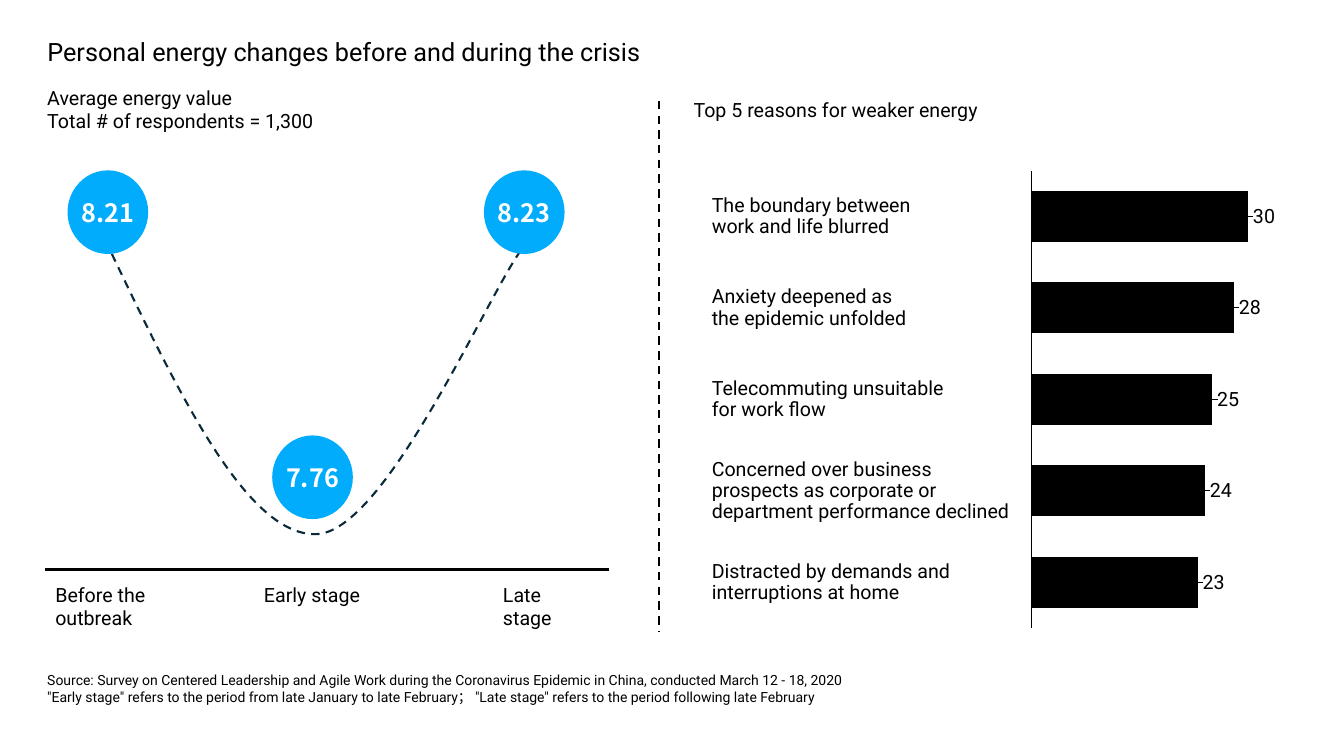
from collections import namedtuple
from lxml.etree import SubElement
from pptx import Presentation
from pptx.chart.data import CategoryChartData as ChartData
from pptx.dml.color import RGBColor as RGB
from pptx.enum.chart import XL_CHART_TYPE as Kind, XL_TICK_LABEL_POSITION as Tick
from pptx.enum.chart import XL_TICK_MARK as Mark
from pptx.enum.dml import MSO_LINE as Dash
from pptx.enum.shapes import MSO_CONNECTOR as Conn, MSO_SHAPE as Shape
from pptx.enum.text import MSO_ANCHOR as Anchor, MSO_AUTO_SIZE as Auto, PP_ALIGN as Align
from pptx.oxml import parse_xml
from pptx.oxml.ns import nsdecls, qn
from pptx.util import Inches, Pt

Box = namedtuple("Box", "x y w h")
Theme = namedtuple("Theme", "ink blue curve white font bold big body small")
T = Theme(RGB(0, 0, 0), RGB(0x00, 0xAC, 0xFB), RGB(0x09, 0x2A, 0x39), RGB(255, 255, 255),
          "Roboto", "Noto Sans CJK SC", Pt(18), Pt(14), Pt(10))

STAGES = [  # value, circle left and top, label left and width, label
    ("8.21", 0.3, 0.69, 0.08, 1.15, "Before the\noutbreak"),
    ("7.76", 2.33, 3.32, 2.15, 1.2, "Early stage"),
    ("8.23", 4.43, 0.69, 4.52, 0.72, "Late\nstage"),
]
REASONS = [
    ("The boundary between\vwork and life blurred", 30),
    ("Anxiety deepened as\vthe epidemic unfolded", 28),
    ("Telecommuting unsuitable\vfor work flow", 25),
    ("Concerned over business\vprospects as corporate or\vdepartment performance declined", 24),
    ("Distracted by demands and\vinterruptions at home", 23),
]


def style(font, size, color=T.ink, name=T.font, bold=False):
    font.size, font.name, font.bold = size, name, bold
    font.color.rgb = color


def fill_text(shape, text, size, **look):
    frame = shape.text_frame
    frame.word_wrap = False
    frame.text = text
    for para in frame.paragraphs:
        for run in para.runs:
            style(run.font, size, **look)
    return frame


def place(shape, box):
    shape.left, shape.top, shape.width, shape.height = map(Inches, box)


def add_text(slide, box, text, size=T.body):
    label = slide.shapes.add_textbox(*map(Inches, box))
    frame = fill_text(label, text, size)
    frame.auto_size = Auto.SHAPE_TO_FIT_TEXT
    return frame


def clear_pad(frame):
    frame.margin_left = frame.margin_right = 0
    frame.margin_top = frame.margin_bottom = 0
    frame.vertical_anchor = Anchor.MIDDLE
    frame.auto_size = Auto.NONE


def add_rule(slide, x, y, x2, y2, dash=None):
    rule = slide.shapes.add_connector(Conn.STRAIGHT, *map(Inches, (x, y, x2, y2)))
    rule.line.color.rgb, rule.line.width = T.ink, Pt(1.5)
    rule.line.dash_style = dash
    SubElement(rule._element.spPr, qn("a:effectLst"))


def add_title(slide, box, text):
    title = slide.shapes.title
    place(title, box)
    frame = fill_text(title, text, T.big)
    frame.auto_size = Auto.SHAPE_TO_FIT_TEXT
    frame.vertical_anchor = Anchor.TOP
    frame.paragraphs[0].alignment = Align.LEFT


def add_curve(slide, box):
    nodes = [(0.74, 1.72), (1.41, 3.12), (2.08, 4.51), (2.76, 4.5),
             (3.44, 4.5), (4.45, 2.16), (4.8, 1.68)]
    start, *rest = [(Inches(box.x + x), Inches(box.y + y)) for x, y in nodes]
    pen = slide.shapes.build_freeform(*start)
    pen.add_line_segments(rest, close=False)
    curve = pen.convert_to_shape()
    curve.shadow.inherit = False
    curve.fill.background()
    curve.line.color.rgb, curve.line.width = T.curve, Pt(1.5)
    curve.line.dash_style = Dash.DASH
    # Each three straight steps become one Bezier segment
    path = next(curve._element.iter(qn("a:path")))
    steps = path.findall(qn("a:lnTo"))
    for i in range(0, len(steps), 3):
        bend = SubElement(path, qn("a:cubicBezTo"))
        for step in steps[i:i + 3]:
            bend.append(step[0])
            path.remove(step)


def add_energy(slide, box):
    add_curve(slide, box)
    add_text(slide, Box(box.x, box.y, 2.96, 0.57),
             "Average energy value\nTotal # of respondents = 1,300")
    floor = box.y + 4.85
    add_rule(slide, box.x + 0.08, floor, box.x + box.w, floor)
    for value, x, y, left, width, label in STAGES:
        disc = slide.shapes.add_shape(
            Shape.OVAL, *map(Inches, (box.x + x, box.y + y + 0.2, 0.8, 0.83)))
        disc.shadow.inherit = False
        disc.fill.solid()
        disc.fill.fore_color.rgb = T.blue
        disc.line.fill.background()
        frame = fill_text(disc, value, T.big, color=T.white, name=T.bold, bold=True)
        clear_pad(frame)
        frame.paragraphs[0].alignment = Align.CENTER
        lines = label.count("\n") + 1
        add_text(slide, Box(box.x + left, floor + 0.08, width, 0.1 + 0.235 * lines), label)


def layout(inner, x, y, size=""):
    return parse_xml(f'<c:layout {nsdecls("c")}><c:manualLayout>{inner}'
                     f'<c:x val="{x:.3f}"/><c:y val="{y}"/>{size}</c:manualLayout></c:layout>')


def add_bars(slide, box):
    data = ChartData()
    data.categories = [str(i + 1) for i in range(len(REASONS))]
    data.add_series("Series 1", [share for _, share in REASONS])
    chart = slide.shapes.add_chart(Kind.BAR_STACKED, *map(Inches, box), data).chart
    chart.has_legend = chart.has_title = False
    style(chart.font, T.small)
    # Axes
    cats, vals = chart.category_axis, chart.value_axis
    cats.reverse_order = True
    cats.tick_label_position = Tick.NONE
    cats.major_tick_mark = cats.minor_tick_mark = Mark.NONE
    cats.format.line.color.rgb, cats.format.line.width = T.ink, Pt(0.75)
    vals.has_major_gridlines = vals.visible = False
    top = max(share for _, share in REASONS)
    vals.minimum_scale, vals.maximum_scale = 0, top
    # Plot area
    wide, tall = 0.837, 0.871
    area = chart._chartSpace.chart.plotArea
    for old in area.findall(qn("c:layout")):
        area.remove(old)
    area.insert(0, layout('<c:layoutTarget val="inner"/><c:xMode val="edge"/>'
                          '<c:yMode val="edge"/>', 0.035, 0.064,
                          f'<c:w val="{wide}"/><c:h val="{tall}"/>'))
    plot = chart.plots[0]
    plot.gap_width, plot.overlap, plot.vary_by_categories = 80, 100, False
    bars = plot.series[0]
    bars.format.fill.solid()
    bars.format.fill.fore_color.rgb = T.ink
    # Values sit just past the bar ends, with leader lines
    for i, (_, share) in enumerate(REASONS):
        style(bars.points[i].data_label.font, T.body)
    marks = bars.data_labels
    marks.show_value = True
    for mark, (_, share) in zip(marks._element.findall(qn("c:dLbl")), REASONS):
        mark.insert(1, layout("", share / top * wide / 2 + 0.062, 0))
    marks._element.append(parse_xml(
        f'<c:extLst {nsdecls("c")}><c:ext uri="{{CE6537A1-D6FC-4f65-9D91-7224C49458BB}}" '
        'xmlns:c15="http://schemas.microsoft.com/office/drawing/2012/chart">'
        '<c15:showLeaderLines val="1"/></c:ext></c:extLst>'))


def add_reasons(slide, box):
    add_text(slide, Box(box.x, box.y, 3.15, 0.34), "Top 5 reasons for weaker energy")
    add_bars(slide, Box(box.x + 3.36, box.y + 0.44, 2.57, 5.21))
    step = 0.907
    for i, (text, _) in enumerate(REASONS):
        high = 0.21 * (text.count("\v") + 1)
        mid = box.y + 1.23 + step * i
        frame = add_text(slide, Box(box.x + 0.28, mid - high / 2, 3.04, high), text)
        clear_pad(frame)
        frame.paragraphs[0].line_spacing = 0.9


def main():
    deck = Presentation()
    deck.slide_width, deck.slide_height = Inches(13.33), Inches(7.5)
    slide = deck.slides.add_slide(deck.slide_layouts[5])
    add_title(slide, Box(0.37, 0.31, 6.42, 0.4),
              "Personal energy changes before and during the crisis")
    add_energy(slide, Box(0.37, 0.8, 5.67, 5.5))
    add_rule(slide, 6.54, 1, 6.54, 6.26, Dash.DASH)
    add_reasons(slide, Box(6.78, 0.92, 5.93, 5.65))
    add_text(slide, Box(0.37, 6.61, 8.38, 0.44),
             "Source: Survey on Centered Leadership and Agile Work during the Coronavirus "
             "Epidemic in China, conducted March 12 - 18, 2020\n"
             "\"Early stage\" refers to the period from late January to late February； "
             "\"Late stage\" refers to the period following late February", T.small)
    deck.save("out.pptx")


if __name__ == "__main__":
    main()
